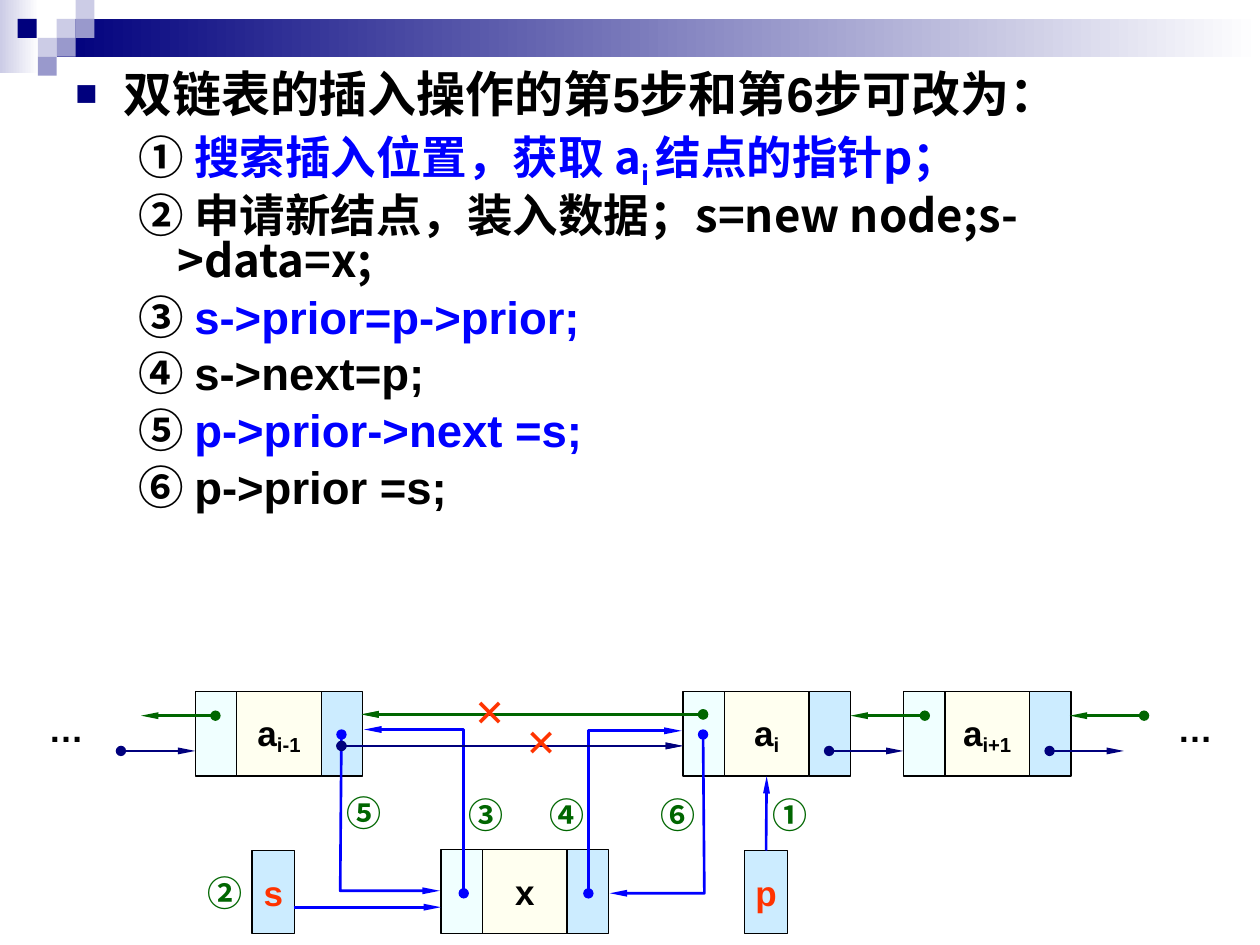
from dataclasses import dataclass

from lxml import etree
from pptx import Presentation
from pptx.dml.color import RGBColor
from pptx.enum import dml, shapes, text
from pptx.oxml import ns
from pptx.util import Inches, Pt

ARIAL, CJK, TIMES = "Arial", "Noto Sans CJK SC", "Times New Roman"
COLORS = {
    "navy": "00007D", "lilac": "CCCCE6", "violet": "9999CC", "white": "FFFFFF",
    "black": "000000", "blue": "0000FF", "green": "006600", "red": "FF3300",
    "data": "FFFFF0", "next": "CCECFF", "prior": "F0FFFF",
}
LINK_Y, NODE_Y, NEW_Y = 5.96, 5.49, 6.74
SIDE, CORE, NODE_H = 0.33, 0.67, 0.67


@dataclass
class Run:
    words: str
    color: str = "black"
    font: str = ARIAL
    size: float = 20
    baseline: int = 0
    east: str = CJK


@dataclass
class Node:
    left: float
    top: float
    runs: list[Run]


@dataclass
class Arrow:
    points: list[tuple[float, float]]
    color: str = "blue"
    oval: bool = True
    dashed: bool = False


def rgb(name: str) -> RGBColor:
    return RGBColor.from_string(COLORS[name])


def child(parent, tag: str, **attributes: str):
    return etree.SubElement(parent, ns.qn(tag), **attributes)


def add_runs(paragraph, runs: list[Run]) -> None:
    for spec_run in runs:
        run = paragraph.add_run()
        run.text = spec_run.words
        run.font.size = Pt(spec_run.size)
        run.font.bold = True
        run.font.color.rgb = rgb(spec_run.color)
        run.font.name = spec_run.font
        properties = run._r.get_or_add_rPr()
        child(properties, "a:ea", typeface=spec_run.east)
        if spec_run.baseline:
            properties.set("baseline", str(spec_run.baseline * 1000))


def write_centred(shape, runs: list[Run]) -> None:
    frame = shape.text_frame
    frame.word_wrap = False
    frame.vertical_anchor = text.MSO_ANCHOR.MIDDLE
    frame.paragraphs[0].alignment = text.PP_ALIGN.CENTER
    add_runs(frame.paragraphs[0], runs)


def add_rect(slide, left: float, top: float, width: float, height: float,
             fill: str, outlined: bool = False, fade_to: str = ""):
    rect = slide.shapes.add_shape(shapes.MSO_SHAPE.RECTANGLE, Inches(left),
                                  Inches(top), Inches(width), Inches(height))
    rect.shadow.inherit = False
    if fade_to:
        rect.fill.gradient()
        rect.fill.gradient_angle = 0
        for stop, color in zip(rect.fill.gradient_stops, (fill, fade_to)):
            stop.color.rgb = rgb(color)
    else:
        rect.fill.solid()
        rect.fill.fore_color.rgb = rgb(fill)
    if outlined:
        rect.line.color.rgb = rgb("black")
        rect.line.width = Pt(0.75)
    else:
        rect.line.fill.background()
    return rect


def add_label(slide, left: float, top: float, width: float, height: float, run: Run,
              wrap: bool = False, centred: bool = False) -> None:
    label = slide.shapes.add_textbox(Inches(left), Inches(top), Inches(width), Inches(height))
    if centred:
        write_centred(label, [run])
    else:
        label.text_frame.word_wrap = wrap
        add_runs(label.text_frame.paragraphs[0], [run])


def add_node(slide, node: Node):
    data = add_rect(slide, node.left + SIDE, node.top, CORE, NODE_H, "data", True)
    write_centred(data, node.runs)
    add_rect(slide, node.left + SIDE + CORE, node.top, SIDE, NODE_H, "next", True)
    add_rect(slide, node.left, node.top, SIDE, NODE_H, "prior", True)
    return data


def add_pointer(slide, left: float, name: str):
    pointer = add_rect(slide, left, 6.75, 0.34, 0.66, "next", True)
    write_centred(pointer, [Run(name, "red")])
    return pointer


def add_arrow(slide, arrow: Arrow):
    points = [(Inches(x), Inches(y)) for x, y in arrow.points]
    if len(points) == 2:
        path = slide.shapes.add_connector(shapes.MSO_CONNECTOR.STRAIGHT, *points[0], *points[1])
        child(path._element.spPr, "a:effectLst")
    else:
        builder = slide.shapes.build_freeform(*points[0], scale=1.0)
        builder.add_line_segments(points[1:], close=False)
        path = builder.convert_to_shape()
        path.fill.background()
        path.shadow.inherit = False
    path.line.color.rgb = rgb(arrow.color)
    path.line.width = Pt(1.5)
    if arrow.dashed:
        path.line.dash_style = dml.MSO_LINE.DASH_DOT
    line = path.line._get_or_add_ln()
    if arrow.oval:
        child(line, "a:headEnd", type="oval", w="med", len="med")
    child(line, "a:tailEnd", type="triangle", w="sm", len="lg")
    return path


def add_banner(slide) -> None:
    add_rect(slide, 0, 0, 0.31, 0.58, "lilac", fade_to="white")
    add_rect(slide, 0.45, 0.15, 9.55, 0.3, "navy", fade_to="white")
    tiles = [(0.45, 0.15, "lilac"), (0.6, 0, "lilac"), (0.6, 0.15, "violet"),
             (0.3, 0.3, "lilac"), (0.14, 0.15, "navy"), (0.45, 0.3, "violet"),
             (0.3, 0.45, "violet")]
    for left, top, color in tiles:
        add_rect(slide, left, top, 0.15, 0.15, color)


def add_steps(slide) -> None:
    def step(words: str, color: str = "black", font: str = CJK, baseline: int = 0) -> Run:
        return Run(words, color, font, 26, baseline)

    lines = [
        [Run("双链表的插入操作的第5步和第6步可改为：", size=28)],
        [step("① "), step("搜索插入位置，获取 a", "blue"),
         step("i ", "blue", baseline=-25), step("结点的指针p；", "blue")],
        [step("② 申请新结点，装入数据；s=new node;s->data=x;")],
        [step("③ "), step("s->prior=p->prior;", "blue", ARIAL)],
        [step("④ "), step("s->next=p;", font=ARIAL)],
        [step("⑤ "), step("p->prior->next =s;", "blue", ARIAL)],
        [step("⑥ "), step("p->prior =s;", font=ARIAL)],
    ]
    frame = slide.shapes.add_textbox(Inches(0.5), Inches(0.5), Inches(9), Inches(4.58)).text_frame
    frame.word_wrap = True
    frame.margin_top = Inches(0.08)
    for index, runs in enumerate(lines):
        paragraph = frame.add_paragraph() if index else frame.paragraphs[0]
        paragraph.line_spacing = 0.83
        margin, indent = (0.81, -0.31) if index else (0.38, -0.38)
        properties = paragraph._p.get_or_add_pPr()
        properties.set("marL", str(Inches(margin)))
        properties.set("indent", str(Inches(indent)))
        if index:
            paragraph.level = 1
            paragraph.space_before = Pt(6.5)
        else:
            child(child(properties, "a:buClr"), "a:srgbClr", val=COLORS["navy"])
            child(properties, "a:buSzPct", val="75000")
            child(properties, "a:buFont", typeface=ARIAL)
            child(properties, "a:buChar", char="■")
        add_runs(paragraph, runs)


def add_list_diagram(slide) -> None:
    for left in (0.17, 9.13):
        add_label(slide, left, 5.43, 0.71, 0.71, Run("…", east=ARIAL), centred=True)
    nodes = [Node(left, NODE_Y, [Run("a"), Run(index, baseline=-16)])
             for left, index in ((1.55, "i-1"), (5.42, "i"), (7.17, "i+1"))]
    _, current, _ = [add_node(slide, node) for node in nodes]
    add_node(slide, Node(3.5, NEW_Y, [Run("x")]))
    add_pointer(slide, 2, "s")
    search = add_pointer(slide, 5.91, "p")

    arrows = [Arrow([(x, LINK_Y), (x + 0.59, LINK_Y)], "navy") for x in (0.96, 6.58, 8.33)]
    arrows += [Arrow([(x, 5.68), (x - 0.59, 5.68)], "green") for x in (1.71, 7.34, 9.08)]
    arrows += [
        Arrow([(2.33, 7.2), (3.5, 7.2)], oval=False),
        Arrow([(3.68, 7.09), (3.68, 5.79), (2.89, 5.79)]),
        Arrow([(2.71, 5.83), (2.7, 7.07), (3.49, 7.07)]),
        Arrow([(5.58, 5.83), (5.59, 7.09), (4.84, 7.09)]),
        Arrow([(4.67, 7.09), (4.67, 5.8), (5.41, 5.8)]),
    ]
    for dashed in (False, True):
        arrows.append(Arrow([(2.71, 5.92), (5.42, 5.92)], "navy", dashed=dashed))
        arrows.append(Arrow([(5.58, 5.67), (2.87, 5.67)], "green", dashed=dashed))
    for arrow in arrows:
        add_arrow(slide, arrow)
    found = add_arrow(slide, Arrow([(6.08, 6.75), (6.08, 6.16)], oval=False))
    found.begin_connect(search, 0)
    found.end_connect(current, 2)

    for mark, left, top in (("①", 6.03, 6.25), ("②", 1.55, 6.87), ("③", 3.62, 6.25),
                            ("④", 4.26, 6.25), ("⑤", 2.65, 6.23), ("⑥", 5.14, 6.25)):
        add_label(slide, left, top, 0.48, 0.44, Run(mark, "green", CJK))
    for left, top in ((3.67, 5.33), (4.08, 5.57)):
        add_label(slide, left, top, 0.5, 0.6, Run("×", "red", TIMES, 30, east=TIMES), wrap=True)


def main() -> None:
    deck = Presentation()
    deck.slide_width, deck.slide_height = Inches(10), Inches(7.5)
    slide = deck.slides.add_slide(deck.slide_layouts[6])
    add_banner(slide)
    add_steps(slide)
    add_list_diagram(slide)
    deck.save("out.pptx")


if __name__ == "__main__":
    main()
